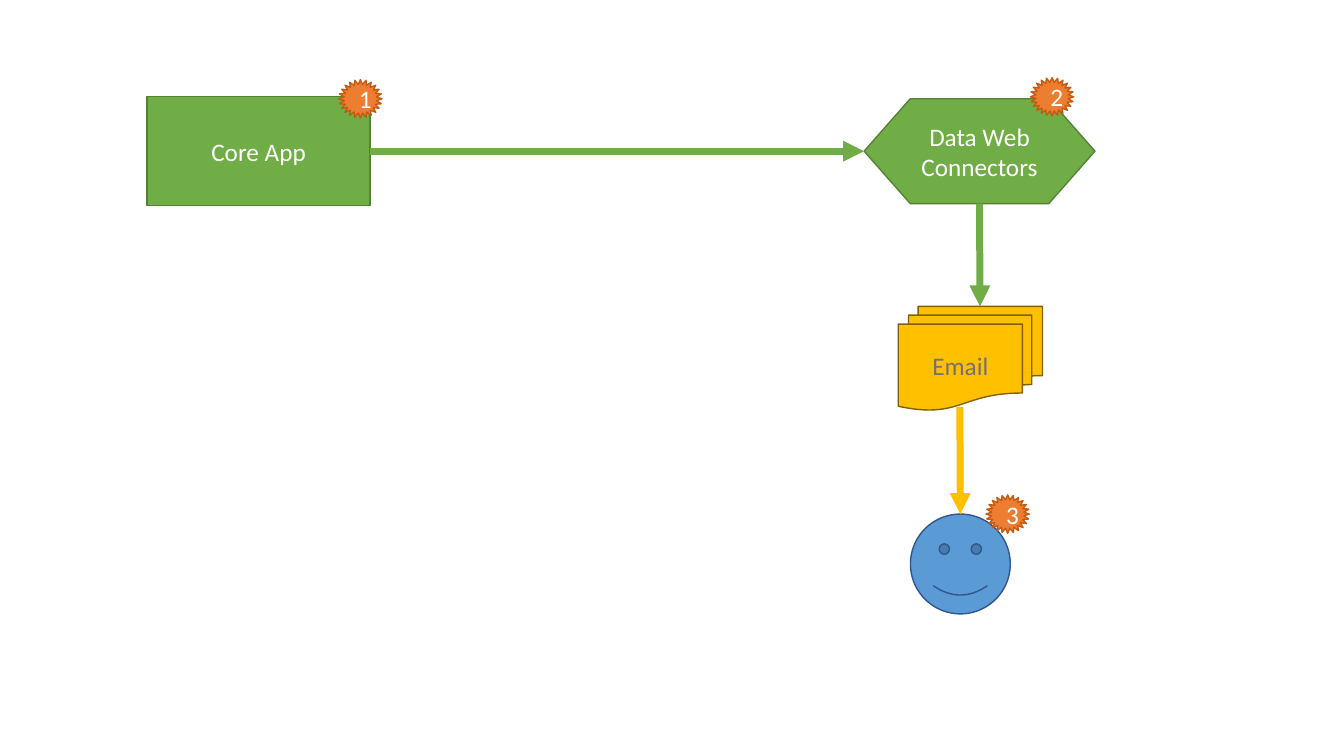
from lxml import etree
from pptx import Presentation
from pptx.dml.color import RGBColor
from pptx.enum.shapes import MSO_CONNECTOR, MSO_SHAPE
from pptx.enum.text import MSO_ANCHOR, PP_ALIGN
from pptx.oxml.ns import qn
from pptx.util import Inches, Pt

STRAIGHT = MSO_CONNECTOR.STRAIGHT
MIDDLE, CENTER = MSO_ANCHOR.MIDDLE, PP_ALIGN.CENTER
TOP, LEFT, BOTTOM, RIGHT = range(4)
COLORS = {
    "green": "70AD47", "dark green": "548235",
    "gold": "FFC000", "dark gold": "806000",
    "blue": "5B9BD5", "dark blue": "325491",
    "orange": "ED7D31", "dark orange": "C55A11",
    "white": "FFFFFF", "gray": "767171",
}

deck = Presentation()
deck.slide_width, deck.slide_height = Inches(13.33), Inches(7.5)
slide = deck.slides.add_slide(deck.slide_layouts[6])


def add_node(kind, bounds, color, text="", text_color="white"):
    """Add a filled shape outlined in the dark shade of its colour."""
    node = slide.shapes.add_shape(kind, *[Inches(length) for length in bounds])
    node.shadow.inherit = False
    node.fill.solid()
    node.fill.fore_color.rgb = RGBColor.from_string(COLORS[color])
    node.line.color.rgb = RGBColor.from_string(COLORS["dark " + color])
    node.line.width = Pt(1)
    if text:
        node.text_frame.vertical_anchor = MIDDLE
        para = node.text_frame.paragraphs[0]
        para.alignment = CENTER
        span = para.add_run()
        span.text = text
        span.font.name, span.font.size = "Calibri", Pt(18)
        span.font.color.rgb = RGBColor.from_string(COLORS[text_color])
    return node


def add_arrow(start, end, color):
    arrow = slide.shapes.add_connector(
        STRAIGHT, *[Inches(length) for length in start + end])
    arrow.line.color.rgb = RGBColor.from_string(COLORS[color])
    arrow.line.width = Pt(5)
    outline = arrow.line._get_or_add_ln()
    etree.SubElement(outline, qn("a:tailEnd"), type="triangle")
    etree.SubElement(arrow._element.spPr, qn("a:effectLst"))
    return arrow


# Process steps
core_app = add_node(MSO_SHAPE.RECTANGLE, (1.46, 0.96, 2.21, 1.08), "green", "Core App")
connectors = add_node(MSO_SHAPE.FLOWCHART_PREPARATION, (8.57, 0.98, 2.29, 1.04),
                      "green", "Data Web Connectors")
add_node(MSO_SHAPE.FLOWCHART_MULTIDOCUMENT, (8.91, 3.04, 1.43, 1.03),
         "gold", "Email", "gray")
recipient = add_node(MSO_SHAPE.SMILEY_FACE, (9.03, 5.1, 0.99, 0.99), "blue")

# Flow between the steps
request = add_arrow((3.67, 1.5), (8.57, 1.5), "green")
request.begin_connect(core_app, RIGHT)
request.end_connect(connectors, LEFT)
sending = add_arrow((9.72, 2.02), (9.72, 3.04), "green")
sending.begin_connect(connectors, BOTTOM)
delivery = add_arrow((9.52, 4.04), (9.52, 5.1), "gold")
delivery.end_connect(recipient, TOP)

# Numbered badges
for number, (left, top) in enumerate([(3.36, 0.79), (10.22, 0.77), (9.78, 4.91)], 1):
    add_node(MSO_SHAPE.STAR_24_POINT, (left, top, 0.43, 0.38), "orange", str(number))

deck.save("out.pptx")
